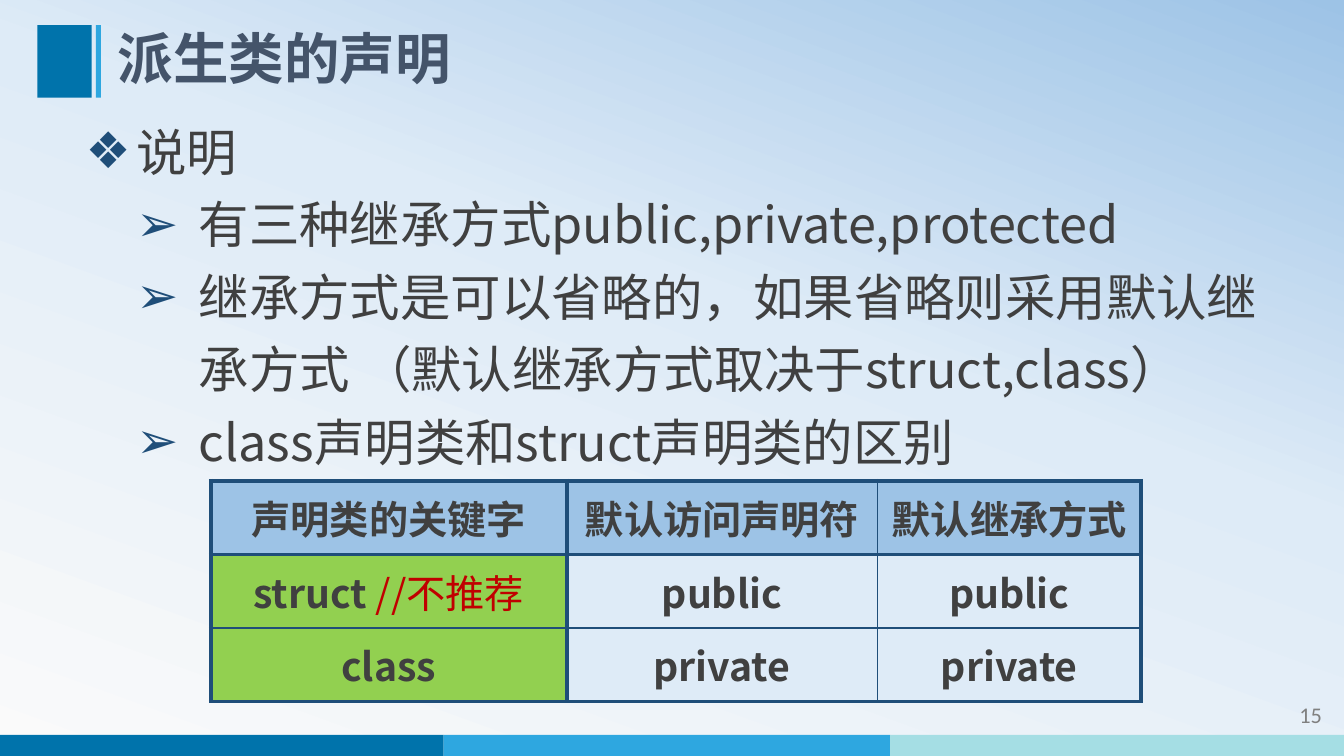
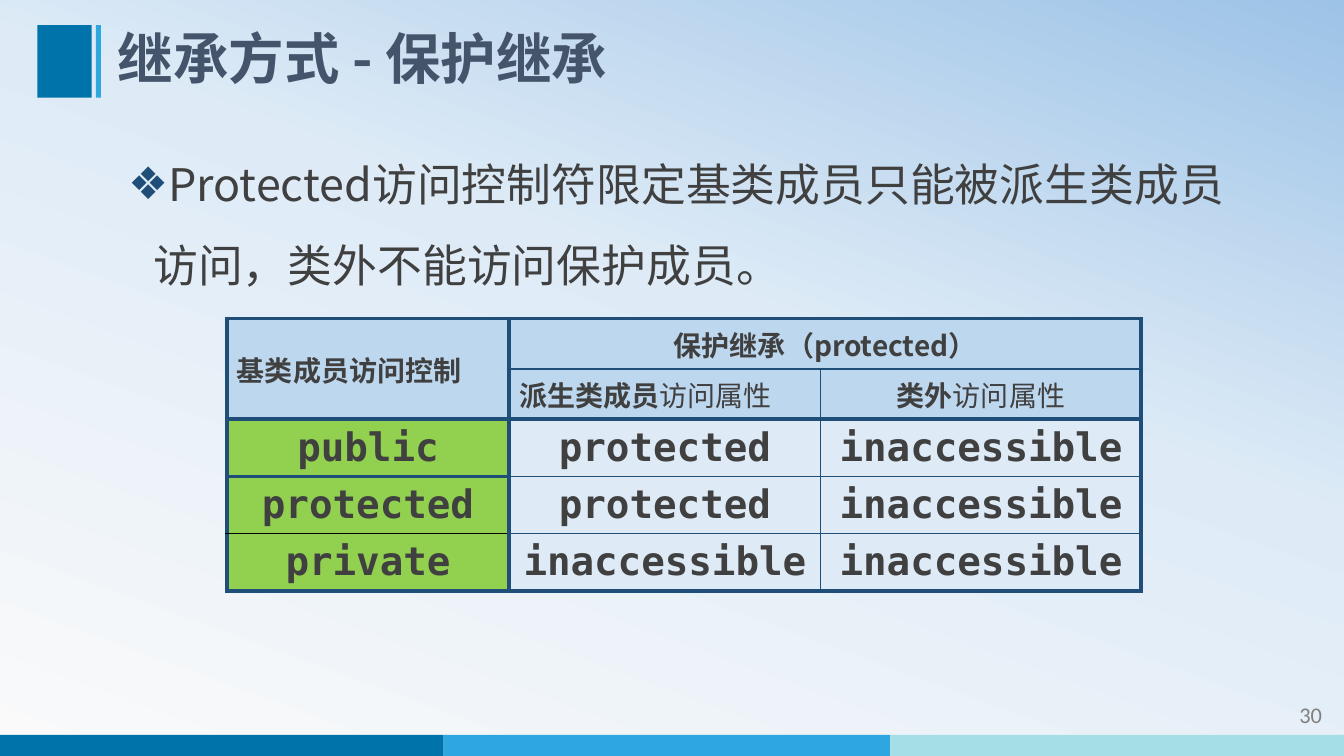
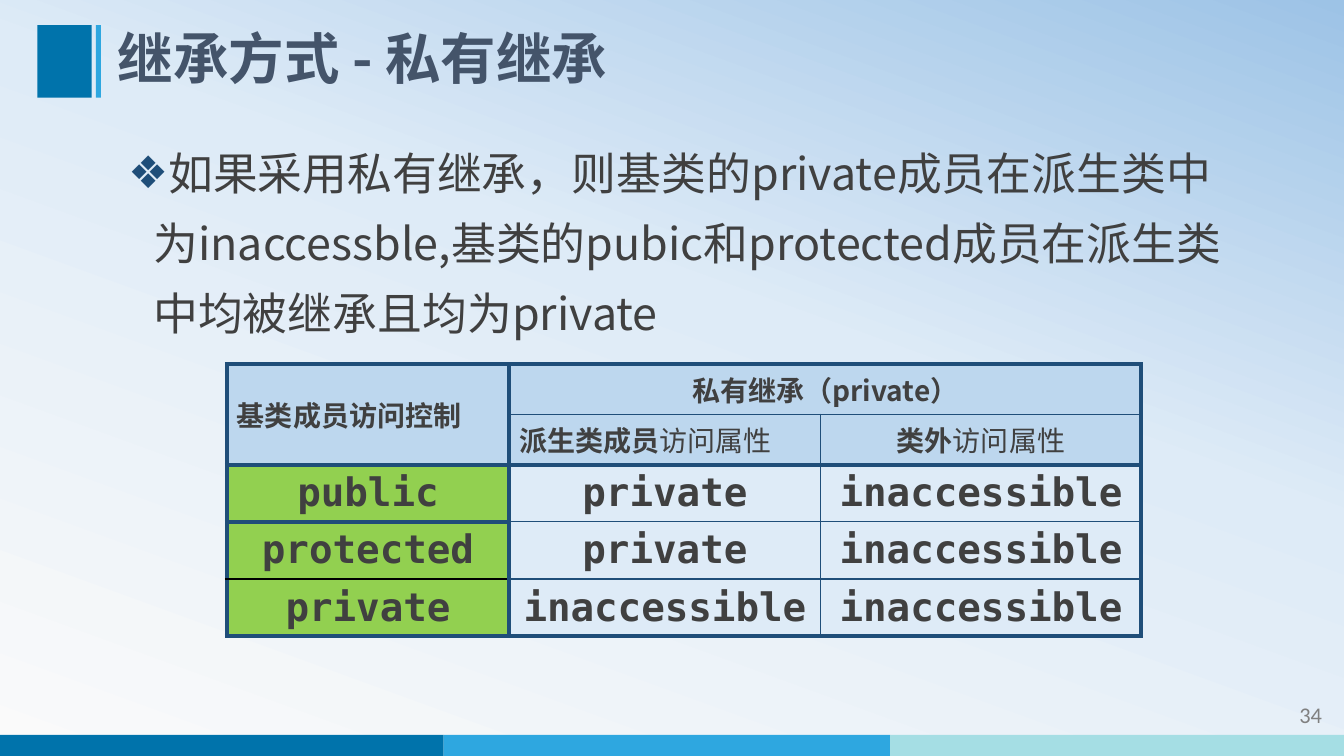
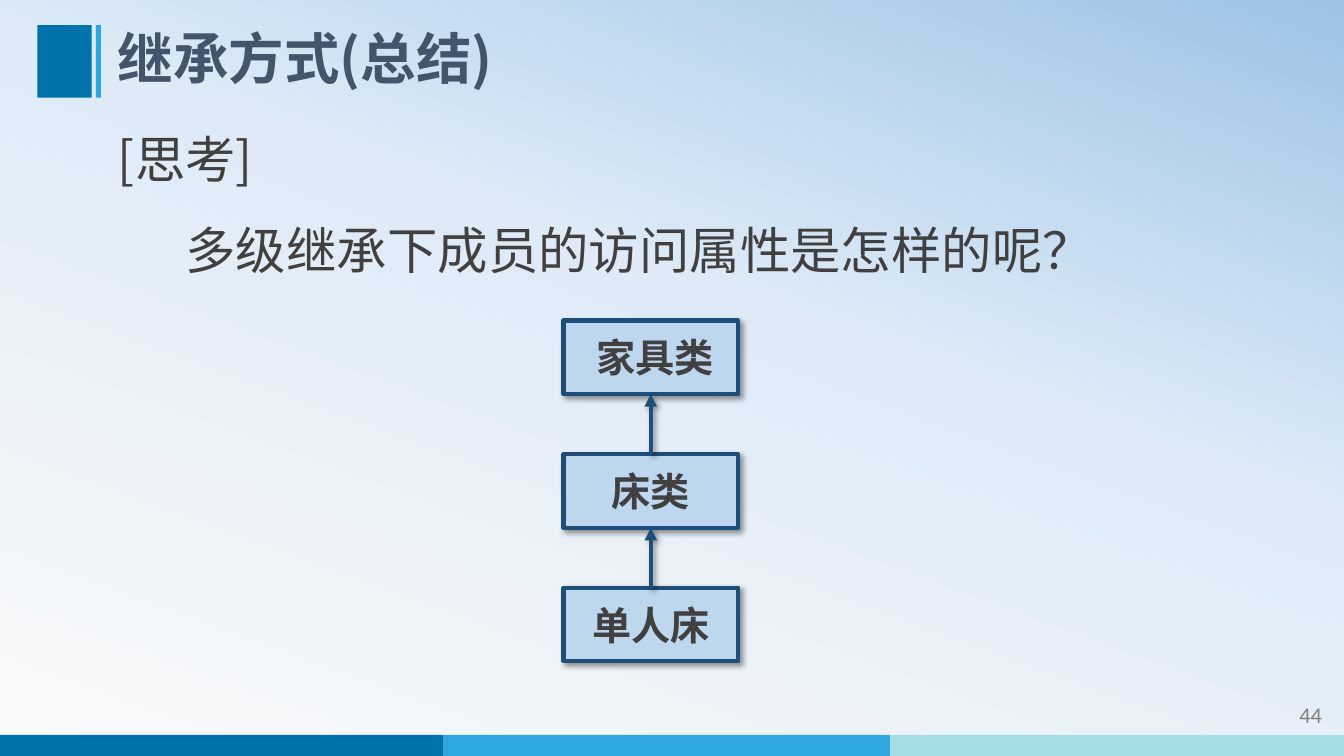
from itertools import pairwise, product

from lxml import etree
from copy import deepcopy
from pptx import Presentation
from pptx.dml.color import RGBColor
from pptx.enum.shapes import MSO_CONNECTOR, MSO_SHAPE
from pptx.enum.text import MSO_ANCHOR, MSO_AUTO_SIZE, PP_ALIGN
from pptx.oxml.ns import qn
from pptx.util import Pt

RECTANGLE = MSO_SHAPE.RECTANGLE
STRAIGHT = MSO_CONNECTOR.STRAIGHT
MIDDLE = MSO_ANCHOR.MIDDLE
TOP = MSO_ANCHOR.TOP
FIXED = MSO_AUTO_SIZE.NONE
LEFT, CENTER, RIGHT = PP_ALIGN.LEFT, PP_ALIGN.CENTER, PP_ALIGN.RIGHT

SCALE = 9144
WIDTH, HEIGHT = 1333, 750
SANS, MONO, NUMBER = "Noto Sans CJK SC", "DejaVu Sans Mono", "Calibri"
NO_STYLE = "{2D5ABB26-0587-4C30-8999-92F81FD0307C}"
COLORS = {
    "title": "44546A", "text": "404040", "number": "808080", "warning": "C00000",
    "deep": "0073AB", "bright": "2EA7E0", "pale": "A5DEE4",
    "line": "1F4E79", "black": "000000", "header": "9DC3E6", "box": "BDD7EE",
    "key": "92D050", "cell": "DEEBF7", "mist": "FAFAFA",
}


def px(length):
    return round(length * SCALE)


def rgb(color):
    return RGBColor.from_string(COLORS[color])


def add_xml(parent, tag, **attributes):
    return etree.SubElement(parent, qn(tag), attributes)


def add_color(parent, color):
    return add_xml(add_xml(parent, "a:solidFill"), "a:srgbClr", val=COLORS[color])


class Deck:
    """Holds the shared style and the slide being built."""

    def __init__(self):
        self.prs = Presentation()
        self.prs.slide_width, self.prs.slide_height = px(WIDTH), px(HEIGHT)
        self.slide = None
        self.background()

    def background(self):
        master = self.prs.slide_master
        fill = master.background.fill
        fill.gradient()
        fill.gradient_angle = 70
        stops = next(master.element.iter(qn("a:gsLst")))
        stops.append(deepcopy(stops[-1]))
        for stop, position, color in zip(
            fill.gradient_stops, (0, 0.58, 1), ("mist", "cell", "header")
        ):
            stop.position = position
            stop.color.rgb = rgb(color)

    def new_slide(self, title, number, has_body=True):
        layout = self.prs.slide_layouts[1 if has_body else 5]
        self.slide = self.prs.slides.add_slide(layout)
        breaks = (0, 440, 883, WIDTH)
        for (left, right), color in zip(pairwise(breaks), ("deep", "bright", "pale")):
            self.block(left, 729, right - left, 21, color)
        self.block(37, 25, 54, 72, "deep")
        self.block(95, 25, 5, 72, "bright")
        self.page_number(number)
        frame = self.place(self.slide.shapes.title, 107, 25, 1086, 72, MIDDLE)
        heading = frame.paragraphs[0]
        heading.alignment = LEFT
        heading.line_spacing = 0.9
        self.run(heading, title, 39.6, color="title", bold=True)

    def place(self, holder, left, top, width, height, anchor):
        holder.left, holder.top = px(left), px(top)
        holder.width, holder.height = px(width), px(height)
        frame = holder.text_frame
        frame.word_wrap = True
        frame.auto_size = FIXED
        frame.vertical_anchor = anchor
        return frame

    def run(self, paragraph, text, size, font=SANS, color="text", bold=False):
        run = paragraph.add_run()
        run.text = text
        run.font.name = font
        add_xml(run.font._element, "a:ea", typeface=font)
        run.font.size = Pt(size)
        run.font.bold = bold
        run.font.color.rgb = rgb(color)

    def page_number(self, number):
        box = self.slide.shapes.add_textbox(px(1162), px(691), px(159), px(40))
        box.text_frame.word_wrap = True
        paragraph = box.text_frame.paragraphs[0]
        paragraph.alignment = RIGHT
        self.run(paragraph, str(number), 16, NUMBER, "number")

    def block(self, left, top, width, height, color):
        block = self.slide.shapes.add_shape(
            RECTANGLE, px(left), px(top), px(width), px(height)
        )
        block.shadow.inherit = False
        block.fill.solid()
        block.fill.fore_color.rgb = rgb(color)
        block.line.fill.background()
        return block

    def body(self, area, size, items):
        frame = self.place(self.slide.placeholders[1], *area, TOP)
        for index, (text, level, bullet, margin, indent, spacing) in enumerate(items):
            paragraph = frame.add_paragraph() if index else frame.paragraphs[0]
            paragraph.level = level
            self.bullet(paragraph, bullet, margin, indent)
            paragraph.alignment = LEFT
            paragraph.line_spacing = spacing
            paragraph.space_before = Pt(0)
            self.run(paragraph, text, size)

    def bullet(self, paragraph, mark, margin, indent):
        properties = paragraph._p.get_or_add_pPr()
        properties.set("marL", str(px(margin)))
        properties.set("indent", str(px(indent)))
        if mark:
            add_xml(add_xml(properties, "a:buClr"), "a:srgbClr", val=COLORS["line"])
            add_xml(properties, "a:buChar", char=mark)
        else:
            add_xml(properties, "a:buNone")

    def table(self, left, top, widths, heights, rows, merges=(), header=1, edges=None):
        table = self.slide.shapes.add_table(
            len(heights), len(widths), px(left), px(top),
            px(sum(widths)), px(sum(heights)),
        ).table
        table.first_row = table.horz_banding = False
        table._tbl.tblPr.find(qn("a:tableStyleId")).text = NO_STYLE
        for column, width in zip(table.columns, widths):
            column.width = px(width)
        for row, height in zip(table.rows, heights):
            row.height = px(height)
        for first, last in merges:
            table.cell(*first).merge(table.cell(*last))
        for row, col in product(range(len(heights)), range(len(widths))):
            cell = table.cell(row, col)
            if not cell.is_spanned:
                self.cell(cell, *rows[row][col])
                self.borders(table, row, col, header, edges or {})

    def cell(self, cell, fill, alignment, size, font, runs):
        cell.fill.solid()
        cell.fill.fore_color.rgb = rgb(fill)
        cell.vertical_anchor = MIDDLE
        paragraph = cell.text_frame.paragraphs[0]
        paragraph.alignment = alignment
        for text, bold, color in runs:
            self.run(paragraph, text, size, font, color, bold)

    def borders(self, table, row, col, header, edges):
        origin = table.cell(row, col)
        tall = origin.span_height if origin.is_merge_origin else 1
        wide = origin.span_width if origin.is_merge_origin else 1
        heavy_cols = (0, 1, len(table.columns))
        heavy_rows = (0, header, len(table.rows))

        def vertical(at):
            return (3 if at in heavy_cols else 1), "line"

        def horizontal(at):
            return edges.get((at, col), (3 if at in heavy_rows else 1, "line"))

        sides = {
            "a:lnL": vertical(col), "a:lnR": vertical(col + wide),
            "a:lnT": horizontal(row), "a:lnB": horizontal(row + tall),
        }
        for r, c in product(range(row, row + tall), range(col, col + wide)):
            properties = table.cell(r, c)._tc.get_or_add_tcPr()
            for place, (tag, (weight, color)) in enumerate(sides.items()):
                line = etree.Element(qn(tag), w=str(Pt(weight)))
                add_color(line, color)
                properties.insert(place, line)

    def shadow(self, shape):
        properties = shape._element.spPr
        for effects in properties.findall(qn("a:effectLst")):
            properties.remove(effects)
        cast = add_xml(
            add_xml(properties, "a:effectLst"), "a:outerShdw", blurRad=str(Pt(4)),
            dist=str(Pt(3)), dir="2700000", algn="tl", rotWithShape="0",
        )
        shade = add_xml(cast, "a:srgbClr", val=COLORS["black"])
        add_xml(shade, "a:alpha", val="40000")

    def outline(self, shape):
        shape.line.color.rgb = rgb("line")
        shape.line.width = Pt(3)

    def class_box(self, left, top, width, height, name, shift=0):
        box = self.block(left, top, width, height, "box")
        self.outline(box)
        self.shadow(box)
        frame = box.text_frame
        frame.vertical_anchor = MIDDLE
        frame.margin_left = px(10 + shift)
        paragraph = frame.paragraphs[0]
        paragraph.alignment = CENTER
        self.run(paragraph, name, 28, bold=True)
        return box

    def inherit_arrow(self, derived, base):
        arrow = self.slide.shapes.add_connector(STRAIGHT, 0, 0, 0, 0)
        arrow.begin_connect(derived, 0)
        arrow.end_connect(base, 2)
        self.outline(arrow)
        add_xml(arrow.line._get_or_add_ln(), "a:tailEnd", type="triangle")
        self.shadow(arrow)


def bold_cell(text, fill, size=28, font=SANS, alignment=CENTER):
    return fill, alignment, size, font, [(text, True, "text")]


def declaration_slide(deck):
    deck.new_slide("派生类的声明", 15)
    points = (
        "有三种继承方式public,private,protected",
        "继承方式是可以省略的，如果省略则采用默认继承方式 （默认继承方式取决于struct,class）",
        "class声明类和struct声明类的区别",
    )
    deck.body(
        (75, 85, 1191, 392), 36,
        [("说明", 0, "❖", 50, -50, 1.5)]
        + [(point, 1, "➢", 112, -62, 1.2) for point in points],
    )
    keywords = (
        [("struct ", True, "text"), ("//不推荐", False, "warning")],
        [("class", True, "text")],
    )
    headings = ("声明类的关键字", "默认访问声明符", "默认继承方式")
    rows = [[bold_cell(heading, "header") for heading in headings]]
    for keyword, access in zip(keywords, ("public", "private")):
        rows.append([("key", CENTER, 28, SANS, keyword)] + [bold_cell(access, "cell")] * 2)
    deck.table(209, 477, (353, 308, 262), (73,) * 3, rows)


def access_slide(deck, number, kind, keyword, rule, spacing, height, table_top, derived):
    deck.new_slide(f"继承方式 - {kind}", number)
    deck.body((117, 124, 1124, height), 32, [(rule, 0, "❖", 25, -25, spacing)])

    def attribute(owner, alignment):
        runs = [(owner, True, "text"), ("访问属性", False, "text")]
        return "box", alignment, 20, SANS, runs

    rows = [
        [
            bold_cell("基类成员访问控制", "box", 20, alignment=LEFT),
            bold_cell(f"{kind}（{keyword}）", "box", 20),
            None,
        ],
        [None, attribute("派生类成员", LEFT), attribute("类外", CENTER)],
    ]
    for base, inherited in zip(("public", "protected", "private"), derived):
        rows.append([
            bold_cell(base, "key", font=MONO),
            bold_cell(inherited, "cell", font=MONO),
            bold_cell("inaccessible", "cell", font=MONO),
        ])
    deck.table(
        225, table_top, (280, 309, 318), (50,) * 2 + (55,) * 3, rows,
        merges=(((0, 0), (1, 0)), ((0, 1), (0, 2))), header=2,
        edges={(3, 0): (3, "line"), (4, 0): (1, "black")},
    )


def summary_slide(deck):
    deck.new_slide("继承方式(总结)", 44)
    deck.body(
        (107, 92, 1200, 189), 36,
        [
            ("[思考]", 0, None, 0, 0, 1.5),
            ("多级继承下成员的访问属性是怎样的呢？", 0, None, 67, 0, 1.5),
        ],
    )
    base = None
    for step, (name, shift) in enumerate((("家具类", 8), ("床类", 0), ("单人床", 0))):
        box = deck.class_box(559, 318 + step * 132.5, 173, 73, name, shift)
        if base:
            deck.inherit_arrow(box, base)
        base = box


def main():
    deck = Deck()
    declaration_slide(deck)
    access_slide(
        deck, 30, "保护继承", "protected",
        "Protected访问控制符限定基类成员只能被派生类成员访问，类外不能访问保护成员。",
        1.5, 179, 316, ("protected", "protected", "inaccessible"),
    )
    access_slide(
        deck, 34, "私有继承", "private",
        "如果采用私有继承，则基类的private成员在派生类中为inaccessble,"
        "基类的pubic和protected成员在派生类中均被继承且均为private",
        1.3, 212, 361, ("private", "private", "inaccessible"),
    )
    summary_slide(deck)
    deck.prs.save("out.pptx")


if __name__ == "__main__":
    main()
